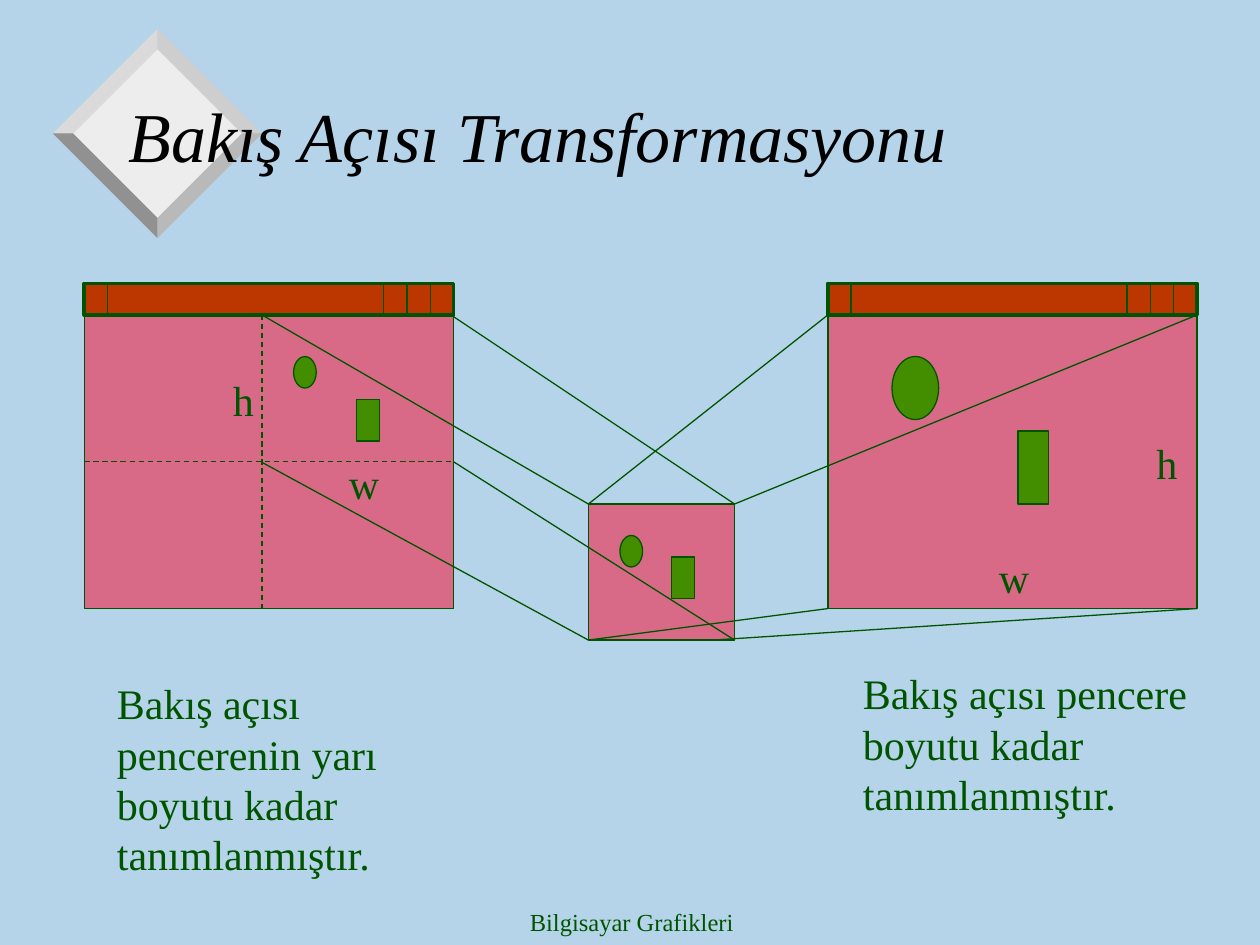
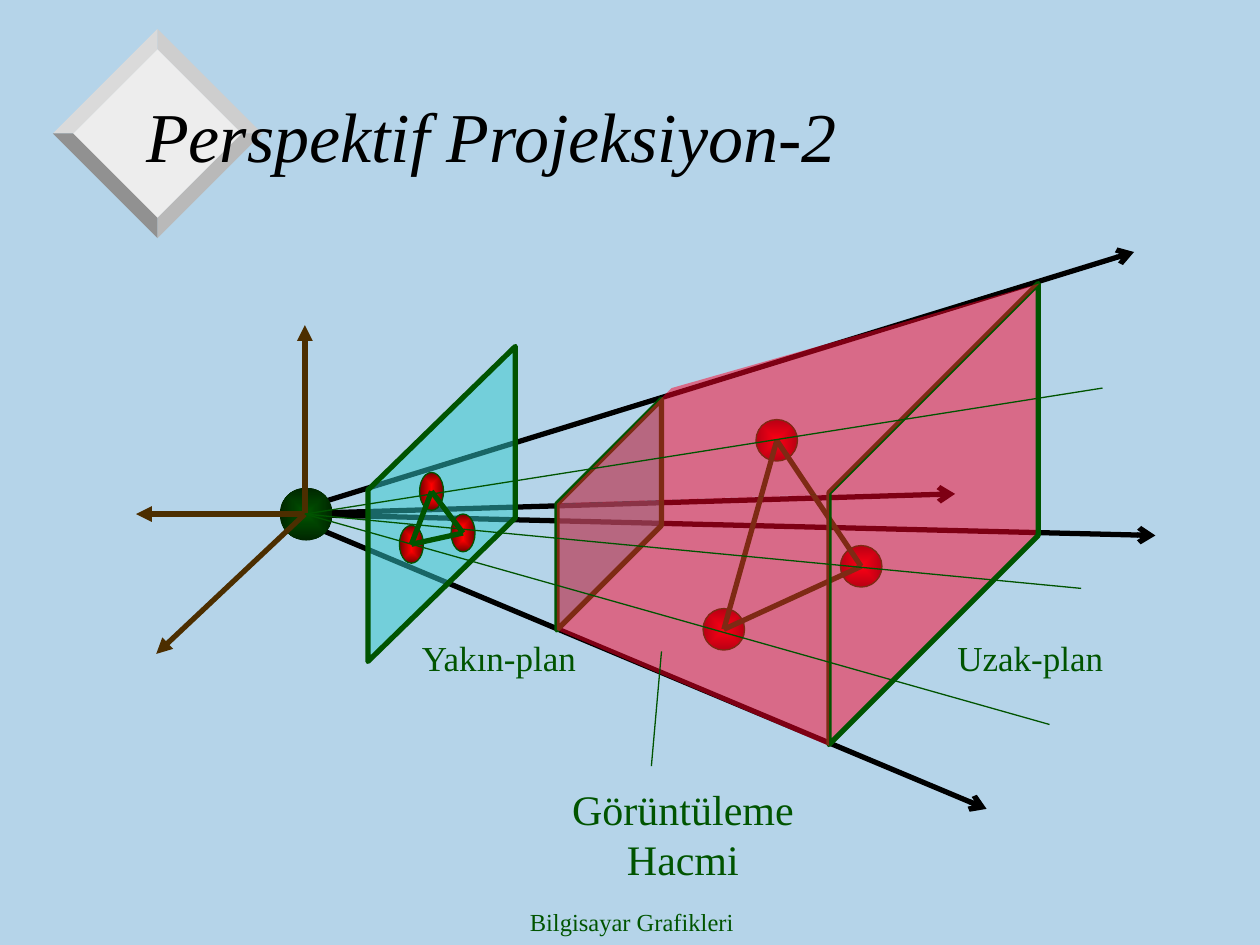
import pptx
import pptx.dml.color
import pptx.enum.dml
import pptx.enum.shapes
import pptx.enum.text
import pptx.oxml
import pptx.oxml.ns
import pptx.util

Inches = pptx.util.Inches
Pt = pptx.util.Pt
SHAPE = pptx.enum.shapes.MSO_SHAPE
ALIGN = pptx.enum.text.PP_ALIGN

SKY, GREEN, LEAF = "B5D4E9", "005400", "438E00"
PINK, TURQUOISE, RUST = "FC0128", "33CCCC", "BC3700"
BLACK, BROWN = "000000", "4C2E00"
RED_BALL, GREEN_BALL = ("FF0000", "750000"), (GREEN, "002600")
FONT = "Times New Roman"
WINDOW_WIDTH, WINDOW_HEIGHT, BAR_HEIGHT = 2.93, 2.33, 0.25


def rgb(hex_code):
    return pptx.dml.color.RGBColor.from_string(hex_code)


def set_values(target, values):
    for name, value in values.items():
        setattr(target, name, value)


def set_box(target, box):
    names = ("left", "top", "width", "height")
    set_values(target, dict(zip(names, map(Inches, box))))


def make_element(tag, **attributes):
    element = pptx.oxml.parse_xml(f"<a:{tag} {pptx.oxml.ns.nsdecls('a')}/>")
    for name, value in attributes.items():
        element.set(name, value)
    return element


def fill_radially(shape, colors):
    """Blend two colours from the centre of the shape to its edge."""
    shape.fill.gradient()
    for stop, color in zip(shape.fill.gradient_stops, colors):
        stop.color.rgb = rgb(color)
    gradient = shape._element.spPr.find(pptx.oxml.ns.qn("a:gradFill"))
    for linear in gradient.xpath("./a:lin"):
        gradient.remove(linear)
    radial = make_element("path", path="rect")
    radial.append(make_element("fillToRect", l="50000", t="50000", r="50000", b="50000"))
    gradient.append(radial)


def paint(shape, fill, line_width=None, alpha=None):
    """Fill with a hex colour or a pair of them, and outline in green or not at all."""
    shape.shadow.inherit = False
    if isinstance(fill, tuple):
        fill_radially(shape, fill)
    else:
        shape.fill.solid()
        shape.fill.fore_color.rgb = rgb(fill)
    if alpha:
        color = shape._element.spPr.xpath("./a:solidFill/a:srgbClr")[0]
        color.append(make_element("alpha", val=str(alpha * 1000)))
    if line_width:
        shape.line.color.rgb = rgb(GREEN)
        shape.line.width = Pt(line_width)
    else:
        shape.line.fill.background()
    return shape


def add_shape(slide, kind, box, fill, line_width=None, alpha=None):
    shape = slide.shapes.add_shape(kind, *map(Inches, box))
    return paint(shape, fill, line_width, alpha)


def add_polygon(slide, points, fill, line_width=None, alpha=None):
    corners = [(Inches(x), Inches(y)) for x, y in points]
    builder = slide.shapes.build_freeform(*corners[0], scale=1.0)
    builder.add_line_segments(corners[1:], close=True)
    return paint(builder.convert_to_shape(), fill, line_width, alpha)


def add_line(slide, start, end, color=GREEN, width=0.75, dashed=False, head=None, tail=None):
    line = slide.shapes.add_connector(
        pptx.enum.shapes.MSO_CONNECTOR.STRAIGHT, *map(Inches, (*start, *end)))
    line.line.color.rgb = rgb(color)
    line.line.width = Pt(width)
    if dashed:
        line.line.dash_style = pptx.enum.dml.MSO_LINE.DASH
    properties = line._element.spPr
    outline = properties.find(pptx.oxml.ns.qn("a:ln"))
    for tag, arrow in (("headEnd", head), ("tailEnd", tail)):
        if arrow:
            outline.append(make_element(tag, type=arrow))
    properties.append(make_element("effectLst"))
    return line


def write(frame, text, size, color=GREEN, align=ALIGN.LEFT, italic=False):
    para = frame.paragraphs[0]
    para.alignment = align
    span = para.add_run()
    span.text = text
    set_values(span.font, {"name": FONT, "size": Pt(size), "italic": italic})
    span.font.color.rgb = rgb(color)


def add_text(slide, text, box, size=24, align=ALIGN.LEFT):
    frame = slide.shapes.add_textbox(*map(Inches, box)).text_frame
    frame.word_wrap = True
    write(frame, text, size, align=align)


def draw_diamond(slide, x, y, inner, outer):
    """Draw a bevelled diamond centred on x, y."""
    face = [(x, y - inner), (x - inner, y), (x, y + inner), (x + inner, y)]
    add_polygon(slide, face, "EDEDED")
    facets = [(1, -1, "CECECE"), (-1, -1, "DADADA"), (1, 1, "B9B9B9"), (-1, 1, "919191")]
    for across, down, color in facets:
        add_polygon(slide, [(x, y + down * inner), (x, y + down * outer),
                            (x + across * outer, y), (x + across * inner, y)], color)


def furnish_layout(deck, layout):
    """Put the background, diamond and footer on the layout that all slides use."""
    deck.slide_master.background.fill.solid()
    deck.slide_master.background.fill.fore_color.rgb = rgb(SKY)
    for holder in list(layout.placeholders):
        if holder.placeholder_format.idx:
            holder._element.getparent().remove(holder._element)
    return layout


def share_parts(slide):
    """Draw the common parts and move them from the slide to its layout."""
    before = len(slide.shapes)
    draw_diamond(slide, 1.25, 1.06, 0.67, 0.83)
    add_text(slide, "Bilgisayar Grafikleri", (3.43, 7.15, 3.17, 0.35), 14, ALIGN.CENTER)
    for shape in list(slide.shapes)[before:]:
        slide.slide_layout.shapes._spTree.append(shape._element)


def add_slide(deck, layout, title, indent=0.1):
    slide = deck.slides.add_slide(layout)
    holder = slide.shapes.title
    set_box(holder, (0.92, 0.46, 8.5, 1.21))
    set_values(holder.text_frame, {
        "vertical_anchor": pptx.enum.text.MSO_ANCHOR.MIDDLE,
        "margin_left": Inches(indent), "word_wrap": True})
    write(holder.text_frame, title, 40, BLACK, italic=True)
    return slide


def draw_window(slide, left, top, height_label, width_label):
    """Draw a window with its title bar; labels are offsets from its corner."""
    body = add_shape(slide, SHAPE.RECTANGLE,
                     (left, top + BAR_HEIGHT, WINDOW_WIDTH, WINDOW_HEIGHT), PINK, 1, 50)
    add_shape(slide, SHAPE.RECTANGLE, (left, top, WINDOW_WIDTH, BAR_HEIGHT), RUST, 2.25)
    button = 0.185
    for offset in [button] + [WINDOW_WIDTH - n * button for n in (1, 2, 3)]:
        add_line(slide, (left + offset, top), (left + offset, top + BAR_HEIGHT))
    for text, (x, y), width in (("h", height_label, 0.33), ("w", width_label, 0.5)):
        add_text(slide, text, (left + x, top + y, width, 0.5))
    return body


def draw_objects(slide, left, top, oval_size, block_offset, block_size):
    add_shape(slide, SHAPE.OVAL, (left, top, *oval_size), LEAF, 0.75)
    x, y = block_offset
    add_shape(slide, SHAPE.RECTANGLE, (left + x, top + y, *block_size), LEAF, 0.75)


def draw_viewport_slide(slide):
    half_window = draw_window(slide, 0.67, 2.25, (1.08, 0.67), (2, 1.33))
    draw_window(slide, 6.57, 2.25, (2.51, 1.17), (1.26, 2.08))
    add_shape(slide, SHAPE.RECTANGLE, (4.67, 4, 1.16, 1.08), PINK, 0.75, 50)

    middle = add_line(slide, (0.67, 3.67), (3.6, 3.67), dashed=True)
    middle.begin_connect(half_window, 1)
    middle.end_connect(half_window, 3)
    add_line(slide, (2.08, 2.5), (2.08, 4.83), dashed=True)

    projections = [
        ((4.67, 4), (6.57, 2.5)), ((5.83, 4), (9.5, 2.5)),
        ((5.66, 5.08), (9.5, 4.83)), ((4.67, 5.08), (6.57, 4.83)),
        ((2.08, 2.5), (4.67, 4)), ((3.58, 2.5), (5.83, 4)), ((2.08, 3.67), (4.67, 5.08))]
    for start, end in projections:
        add_line(slide, start, end)
    add_line(slide, (3.6, 3.67), (5.83, 5.08)).begin_connect(half_window, 3)

    small_oval, small_block = (0.18, 0.25), (0.18, 0.33)
    draw_objects(slide, 2.33, 2.83, small_oval, (0.5, 0.34), small_block)
    draw_objects(slide, 4.92, 4.25, small_oval, (0.41, 0.17), small_block)
    draw_objects(slide, 7.08, 2.83, (0.37, 0.5), (1, 0.59), (0.24, 0.58))

    add_text(slide, "Bakış açısı pencere boyutu kadar tanımlanmıştır.", (6.75, 5.25, 2.92, 1.3))
    add_text(slide, "Bakış açısı pencerenin yarı boyutu kadar tanımlanmıştır.",
             (0.83, 5.33, 2.92, 1.7))


def draw_eye(slide, x, y):
    """Draw the eye at x, y with the rays and axes that leave it."""
    for across, down in [(6.58, -2.08), (6.75, 0.17), (5.41, 2.34), (5.16, -0.16)]:
        add_line(slide, (x - 0.17, y), (x + across, y + down), BLACK, 3,
                 head="arrow", tail="arrow")
    add_shape(slide, SHAPE.OVAL, (x - 0.2, y - 0.21, 0.42, 0.42), GREEN_BALL)
    for across, down in [(0, -1.5), (-1.18, 1.11), (-1.34, 0)]:
        add_line(slide, (x, y), (x + across, y + down), BROWN, 3, tail="triangle")


def draw_sight_lines(slide, x, y):
    for across, down in [(6.33, -1), (5.91, 1.67), (6.16, 0.59)]:
        add_line(slide, (x, y), (x + across, y + down))


def draw_triangle(slide, left, top, ball_size, offsets):
    """Draw three balls at offsets from the corner and join their centres."""
    width, height = ball_size
    centres = []
    for x, y in offsets:
        add_shape(slide, SHAPE.OVAL, (left + x, top + y, width, height), RED_BALL, 0.75)
        centres.append((left + x + width / 2, top + y + height / 2))
    for index, centre in enumerate(centres):
        add_line(slide, centres[index - 1], centre, width=3)


def draw_plane(slide, box, edge, color):
    """Draw a slanted plane in a box, with upright sides of length edge."""
    left, top, width, height = box
    right, bottom = left + width, top + height
    add_polygon(slide, [(left, bottom), (left, bottom - edge), (right, top),
                        (right, top + edge)], color, 3, 50)


def draw_volume(slide, left, top):
    draw_triangle(slide, left + 1.16, top + 1.08, (0.33, 0.33),
                  [(0.42, 0), (0, 1.5), (1.09, 1)])
    draw_plane(slide, (left, top + 0.92, 0.83, 1.83), 1, TURQUOISE)
    draw_plane(slide, (left + 2.16, top, 1.66, 3.66), 2, PINK)
    upper_side = [(0, 1.75), (0.91, 0.83), (3.83, 0), (2.16, 1.67)]
    front_side = [(0, 1.75), (0, 2.75), (2.16, 3.67), (2.16, 1.67)]
    for side in (upper_side, front_side):
        add_polygon(slide, [(left + x, top + y) for x, y in side], PINK, alpha=50)
    add_line(slide, (left + 0.83, top + 2.92), (left + 0.75, top + 3.83))


def draw_perspective_slide(slide):
    eye = (2.42, 4.08)
    draw_eye(slide, *eye)
    draw_volume(slide, 4.42, 2.25)
    add_text(slide, "Yakın-plan", (3.25, 5, 1.58, 0.44), 20)
    add_text(slide, "Uzak-plan", (7.5, 5, 1.67, 0.44), 20)
    add_text(slide, "Görüntüleme Hacmi", (4.17, 6.17, 2.5, 0.9), align=ALIGN.CENTER)
    draw_plane(slide, (2.92, 2.75, 1.17, 2.5), 1.36, TURQUOISE)
    draw_triangle(slide, 3.17, 3.75, (0.19, 0.3), [(0.16, 0), (0, 0.42), (0.41, 0.33)])
    draw_sight_lines(slide, *eye)


def main():
    deck = pptx.Presentation()
    set_values(deck, {"slide_width": Inches(10), "slide_height": Inches(7.5)})
    layout = furnish_layout(deck, deck.slide_layouts[5])
    viewport = add_slide(deck, layout, "Bakış Açısı Transformasyonu")
    share_parts(viewport)
    draw_viewport_slide(viewport)
    draw_perspective_slide(add_slide(deck, layout, "Perspektif Projeksiyon-2", indent=0.24))
    deck.save("out.pptx")


if __name__ == "__main__":
    main()
